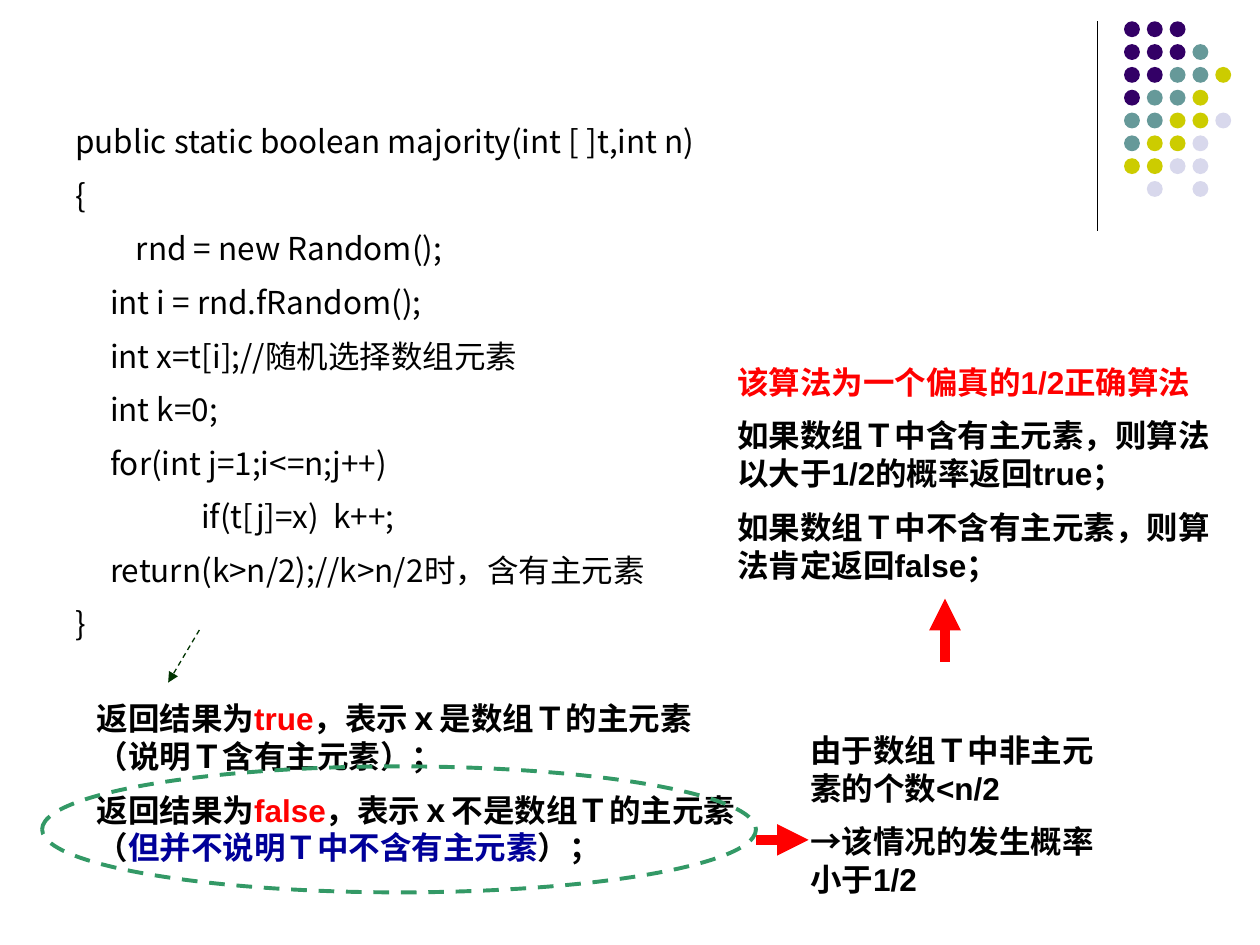
from typing import NamedTuple

from pptx import Presentation
from pptx.dml.color import RGBColor
from pptx.enum.dml import MSO_LINE
from pptx.enum.shapes import MSO_CONNECTOR, MSO_SHAPE
from pptx.oxml.ns import qn
from pptx.util import Cm, Pt
from lxml import etree

BLACK = RGBColor(0x00, 0x00, 0x00)
RED = RGBColor(0xFF, 0x00, 0x00)
BLUE = RGBColor(0x00, 0x00, 0x99)
GREEN = RGBColor(0x33, 0x99, 0x66)
DARK = RGBColor(0x00, 0x33, 0x00)
DOTS = {
    "P": RGBColor(0x33, 0x00, 0x66),
    "T": RGBColor(0x66, 0x99, 0x99),
    "Y": RGBColor(0xCC, 0xCC, 0x00),
    "L": RGBColor(0xD8, 0xD8, 0xEC),
}
GRID = ["PPP", "PPPT", "PPTTY", "PTTY", "TTYYL", "TYYL", "YYLL", " L L"]
STEP = 0.46
SIZE = 0.32
SANS = "Arial"
CJK = "Noto Sans CJK SC"
DASH = MSO_LINE.DASH
OVAL = MSO_SHAPE.OVAL
LINE = MSO_CONNECTOR.STRAIGHT


class Span(NamedTuple):
    text: str
    color: RGBColor = BLACK


class Para(NamedTuple):
    spans: list[Span]
    indent: float = 0


class Box(NamedTuple):
    left: float
    top: float
    width: float
    height: float
    paras: list[Para]
    font: str = SANS
    bold: bool = True


class Stroke(NamedTuple):
    start: tuple[float, float]
    end: tuple[float, float]
    color: RGBColor
    width: float
    arrow: bool = True
    dashed: bool = False


CODE = [
    ("public static boolean majority(int [ ]t,int n)", 0),
    ("{", 0),
    ("rnd = new Random();", 1.22),
    ("int i = rnd.fRandom();", 0.7),
    ("int x=t[i];//随机选择数组元素", 0.7),
    ("int k=0;", 0.7),
    ("for(int j=1;i<=n;j++)", 0.7),
    ("if(t[j]=x)  k++;", 2.54),
    ("return(k>n/2);//k>n/2时，含有主元素", 0.7),
    ("}", 0),
]

BOXES = [
    Box(1.27, 2.34, 19.69, 11.33,
        [Para([Span(text)], indent) for text, indent in CODE], CJK, False),
    Box(1.7, 13.97, 13.54, 3.68, [
        Para([Span("返回结果为"), Span("true", RED),
              Span("，表示ｘ是数组Ｔ的主元素（说明Ｔ含有主元素）；")]),
        Para([Span("返回结果为"), Span("false", RED),
              Span("，表示ｘ不是数组Ｔ的主元素（"),
              Span("但并不说明Ｔ中不含有主元素", BLUE), Span("）；")]),
    ]),
    Box(16.08, 14.61, 6.55, 3.68, [
        Para([Span("由于数组Ｔ中非主元素的个数<n/2")]),
        Para([Span("→该情况的发生概率小于1/2")]),
    ]),
    Box(14.61, 7.19, 10.16, 4.83, [
        Para([Span("该算法为一个偏真的1/2正确算法", RED)]),
        Para([Span("如果数组Ｔ中含有主元素，则算法以大于1/2的概率返回true；")]),
        Para([Span("如果数组Ｔ中不含有主元素，则算法肯定返回false；")]),
    ]),
]

STROKES = [
    Stroke((22.12, 0.43), (22.12, 4.65), BLACK, 0.75, arrow=False),
    Stroke((4.02, 12.7), (3.39, 13.76), DARK, 0.75, dashed=True),
    Stroke((15.24, 16.93), (16.3, 16.93), RED, 6),
    Stroke((19.05, 13.34), (19.05, 12.07), RED, 6),
]


def draw_box(shapes, box: Box) -> None:
    area = map(Cm, (box.left, box.top, box.width, box.height))
    frame = shapes.add_textbox(*area).text_frame
    frame.word_wrap = True
    for i, item in enumerate(box.paras):
        para = frame.paragraphs[0] if i == 0 else frame.add_paragraph()
        para.space_before = Pt(9)
        font = para.font
        font.size = Pt(18)
        font.bold = box.bold
        font.name = box.font
        props = para._p.get_or_add_pPr()
        props.set("marL", str(Cm(item.indent)))
        base = props.find(qn("a:defRPr"))
        etree.SubElement(base, qn("a:ea")).set("typeface", CJK)
        for span in item.spans:
            run = para.add_run()
            run.text = span.text
            run.font.color.rgb = span.color


def draw_line(shapes, item: Stroke) -> None:
    ends = map(Cm, item.start + item.end)
    line = shapes.add_connector(LINE, *ends)
    line.line.color.rgb = item.color
    line.line.width = Pt(item.width)
    if item.dashed:
        line.line.dash_style = DASH
    props = line._element.spPr
    if item.arrow:
        tail = etree.SubElement(props.find(qn("a:ln")), qn("a:tailEnd"))
        tail.set("type", "triangle")
    etree.SubElement(props, qn("a:effectLst"))


def draw_dots(shapes) -> None:
    for row, marks in enumerate(GRID):
        for col, mark in enumerate(marks):
            if mark in DOTS:
                dot = shapes.add_shape(
                    OVAL, Cm(22.66 + col * STEP), Cm(0.43 + row * STEP),
                    Cm(SIZE), Cm(SIZE))
                dot.shadow.inherit = False
                dot.fill.solid()
                dot.fill.fore_color.rgb = DOTS[mark]
                dot.line.fill.background()


def draw_ring(shapes) -> None:
    ring = shapes.add_shape(OVAL, Cm(0.85), Cm(15.45), Cm(14.39), Cm(2.54))
    ring.shadow.inherit = False
    ring.fill.background()
    ring.line.color.rgb = GREEN
    ring.line.width = Pt(2.25)
    ring.line.dash_style = DASH


def main() -> None:
    deck = Presentation()
    deck.slide_width = Cm(25.4)
    deck.slide_height = Cm(19.05)
    shapes = deck.slides.add_slide(deck.slide_layouts[6]).shapes
    draw_dots(shapes)
    for box in BOXES:
        draw_box(shapes, box)
    for item in STROKES:
        draw_line(shapes, item)
    draw_ring(shapes)
    deck.save("out.pptx")


if __name__ == "__main__":
    main()
